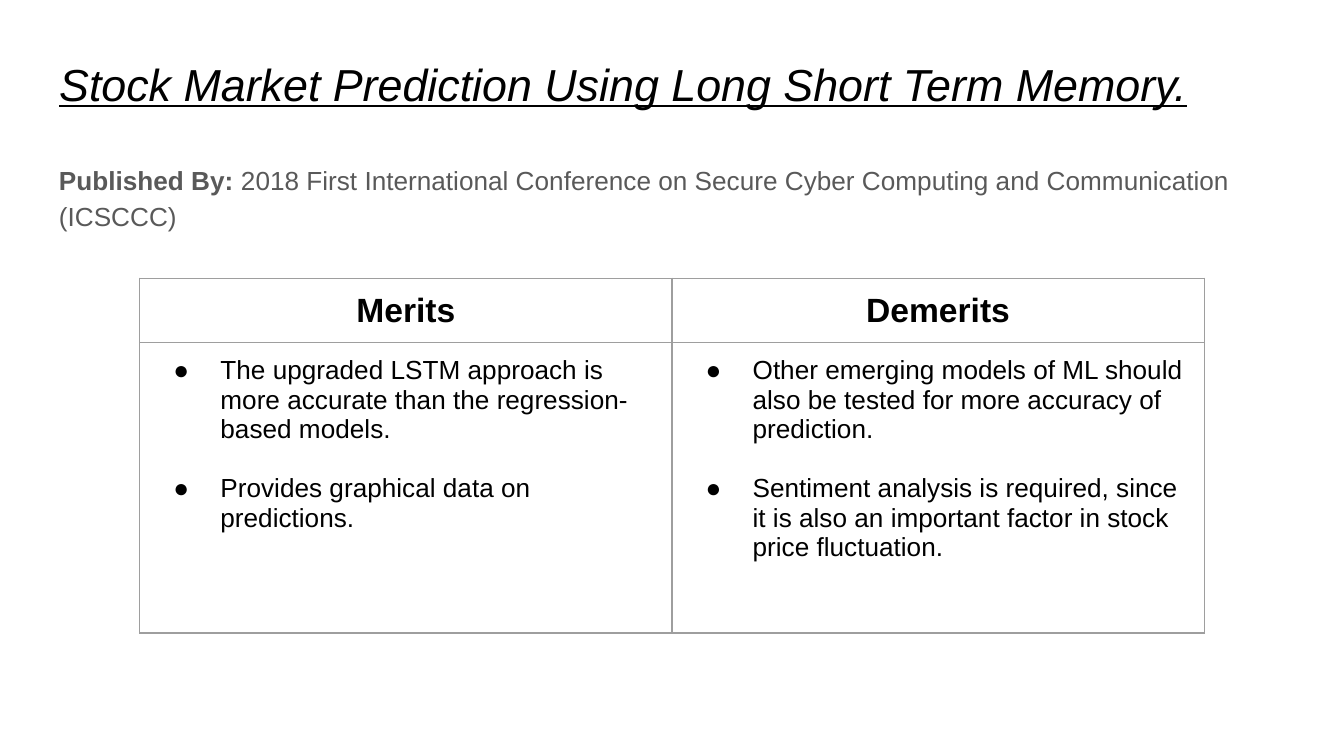
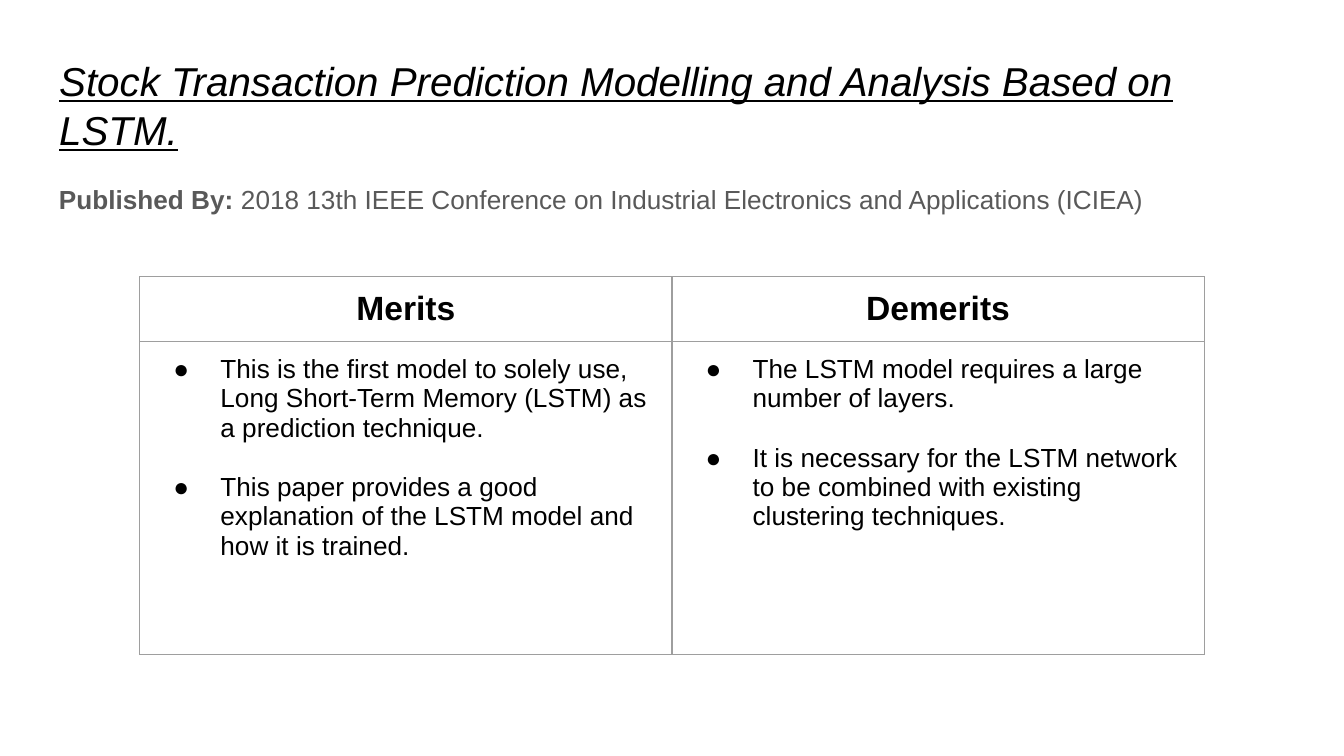
from lxml import etree
from pptx import Presentation
from pptx.dml.color import RGBColor
from pptx.enum.text import MSO_ANCHOR, MSO_AUTO_SIZE, PP_ALIGN as Align
from pptx.oxml.ns import qn
from pptx.util import Inches, Pt

# Shared style
FONT = "Arial"
BLACK, GRAY, BORDER = "000000", "595959", "9E9E9E"
INSET = Inches(0.1)
LEFT, WIDTH = 0.34, 9.32
TABLE_LEFT, COLUMN_WIDTH = 1.04, 3.96
BULLET_GAP = 16

PAPERS = [
    dict(
        title="Stock Market Prediction Using Long Short Term Memory.",
        title_size=24,
        publisher="2018 First International Conference on Secure Cyber "
                  "Computing and Communication (ICSCCC)",
        publisher_top=1.09,
        table_top=2.07,
        row_heights=(0.43, 2.16),
        merits=["The upgraded LSTM approach is more accurate than the "
                "regression-based models.",
                "Provides graphical data on predictions."],
        demerits=["Other emerging models of ML should also be tested for more "
                  "accuracy of prediction.",
                  "Sentiment analysis is required, since it is also an "
                  "important factor in stock price fluctuation."],
    ),
    dict(
        title="Stock Transaction Prediction Modelling and Analysis Based on LSTM.",
        title_size=21.6,
        publisher="2018 13th IEEE Conference on Industrial Electronics and "
                  "Applications (ICIEA)",
        publisher_top=1.23,
        table_top=2.06,
        row_heights=(0.46, 2.33),
        merits=["This is the first model to solely use, Long Short-Term Memory "
                "(LSTM) as a prediction technique.",
                "This paper provides a good explanation of the LSTM model and "
                "how it is trained."],
        demerits=["The LSTM model requires a large number of layers.",
                  "It is necessary for the LSTM network to be combined with "
                  "existing clustering techniques."],
    ),
]


def color(value):
    return RGBColor.from_string(value)


def add_text(paragraph, text, size=14, fill=BLACK, bold=False, italic=False,
             underline=False, align=Align.LEFT, spacing=1.0):
    paragraph.alignment = align
    paragraph.line_spacing = spacing
    run = paragraph.add_run()
    run.text = text
    font = run.font
    font.name, font.size = FONT, Pt(size)
    font.bold, font.italic, font.underline = bold, italic, underline
    font.color.rgb = color(fill)


def set_insets(box):
    box.margin_left = box.margin_right = INSET
    box.margin_top = box.margin_bottom = INSET


def prepare_frame(frame):
    set_insets(frame)
    frame.word_wrap = True
    frame.auto_size = MSO_AUTO_SIZE.NONE
    frame.vertical_anchor = MSO_ANCHOR.TOP


def add_color(parent, value):
    etree.SubElement(parent, qn("a:srgbClr"), val=value)


def set_bullet(paragraph):
    properties = paragraph._p.get_or_add_pPr()
    properties.set("marL", str(Inches(0.5)))
    properties.set("indent", str(Inches(-0.35)))
    add_color(etree.SubElement(properties, qn("a:buClr")), BLACK)
    etree.SubElement(properties, qn("a:buFont"), typeface=FONT)
    etree.SubElement(properties, qn("a:buChar"), char="●")


def style_cell(cell):
    set_insets(cell)
    cell.vertical_anchor = MSO_ANCHOR.TOP
    cell.fill.background()
    properties = cell._tc.get_or_add_tcPr()
    for position, side in enumerate(("lnL", "lnR", "lnT", "lnB")):
        line = etree.Element(qn(f"a:{side}"), w=str(Pt(0.75)))
        add_color(etree.SubElement(line, qn("a:solidFill")), BORDER)
        properties.insert(position, line)


# Title placeholder
def place_title(slide, text, size, left, top, width, height):
    title = slide.shapes.title
    title.left, title.top = Inches(left), Inches(top)
    title.width, title.height = Inches(width), Inches(height)
    prepare_frame(title.text_frame)
    add_text(title.text_frame.paragraphs[0], text, size=size, italic=True,
             underline=True)


# Publisher line
def add_publisher(slide, publisher, left, top, width, height):
    box = slide.shapes.add_textbox(Inches(left), Inches(top),
                                   Inches(width), Inches(height))
    prepare_frame(box.text_frame)
    paragraph = box.text_frame.paragraphs[0]
    add_text(paragraph, "Published By: ", fill=GRAY, bold=True, spacing=1.15)
    add_text(paragraph, publisher, fill=GRAY, spacing=1.15)


# Merits and demerits table
def add_comparison(slide, columns, left, top, column_width, row_heights):
    table = slide.shapes.add_table(
        len(row_heights), len(columns), Inches(left), Inches(top),
        Inches(column_width * len(columns)), Inches(sum(row_heights))).table
    table.first_row = table.horz_banding = False
    for row, height in zip(table.rows, row_heights):
        row.height = Inches(height)
    for index, (heading, points) in enumerate(columns.items()):
        table.columns[index].width = Inches(column_width)
        header, body = table.cell(0, index), table.cell(1, index)
        style_cell(header)
        style_cell(body)
        add_text(header.text_frame.paragraphs[0], heading, size=18, bold=True,
                 align=Align.CENTER)
        for number, point in enumerate(points):
            frame = body.text_frame
            paragraph = frame.add_paragraph() if number else frame.paragraphs[0]
            add_text(paragraph, point)
            paragraph.space_before = Pt(BULLET_GAP if number else 0)
            set_bullet(paragraph)


def add_paper_slide(presentation, paper):
    slide = presentation.slides.add_slide(presentation.slide_layouts[5])
    place_title(slide, paper["title"], paper["title_size"],
                LEFT, 0.32, WIDTH, 0.63)
    add_publisher(slide, paper["publisher"],
                  LEFT, paper["publisher_top"], WIDTH, 3.74)
    add_comparison(slide,
                   {"Merits": paper["merits"], "Demerits": paper["demerits"]},
                   TABLE_LEFT, paper["table_top"], COLUMN_WIDTH,
                   paper["row_heights"])


def main():
    presentation = Presentation()
    # Widescreen, 16 to 9
    presentation.slide_width = Inches(10)
    presentation.slide_height = Inches(10) * 9 // 16
    for paper in PAPERS:
        add_paper_slide(presentation, paper)
    presentation.save("out.pptx")


if __name__ == "__main__":
    main()
